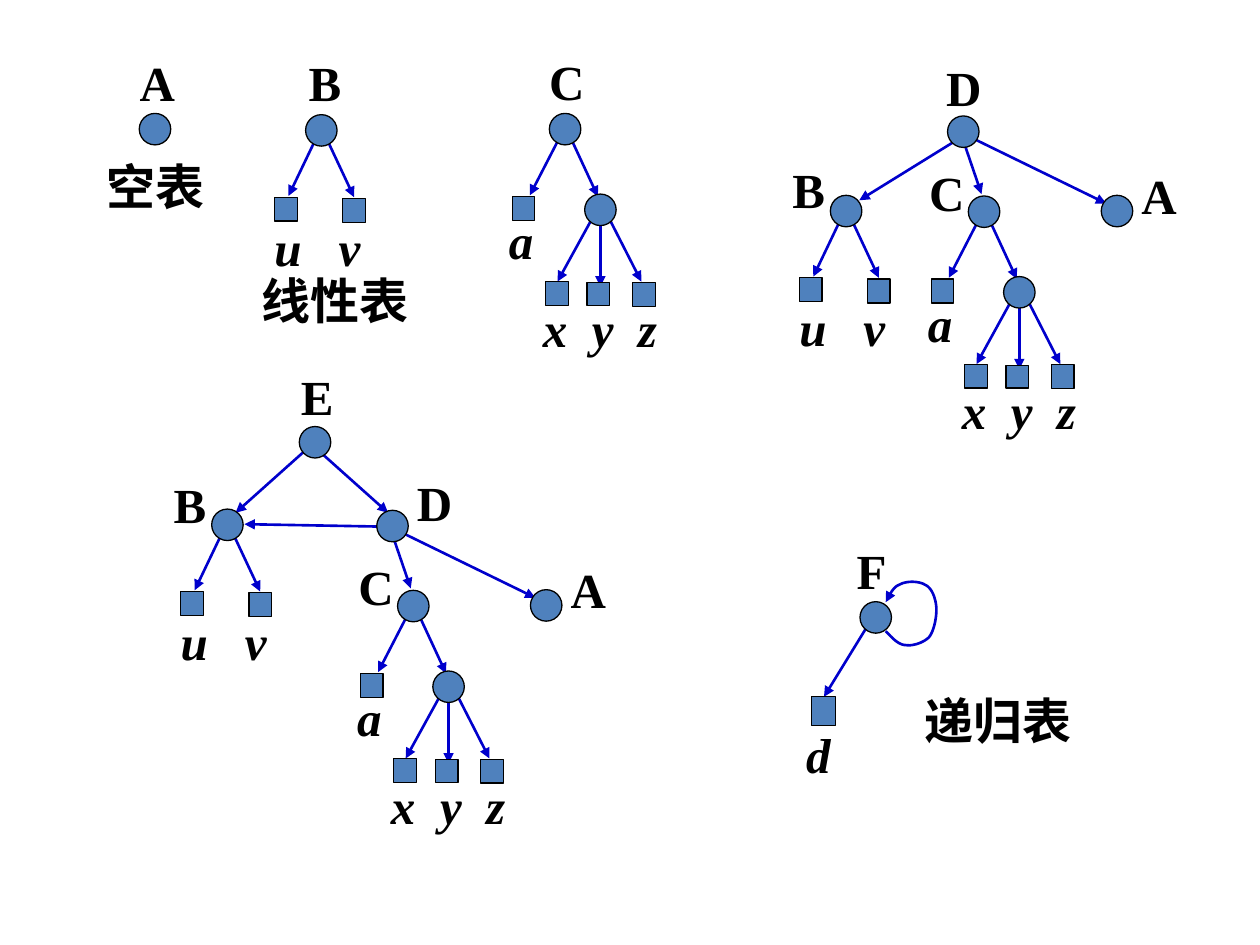
import pptx
import pptx.util
import pptx.dml.color
import pptx.enum.shapes
import pptx.oxml
import pptx.oxml.ns

RGBColor = pptx.dml.color.RGBColor
SHAPE = pptx.enum.shapes.MSO_SHAPE
BLUE = RGBColor(0x4F, 0x81, 0xBD)
ARROW = RGBColor(0x00, 0x00, 0xCC)
BLACK = RGBColor(0, 0, 0)

# Grid: 100 columns by 75 rows of square cells
COLS, ROWS = 100, 75
CELL = 0.1
NODE = 2.5
ATOM_W, ATOM_H = 1.8, 1.9
LABEL_H = 5.7


def cells(n):
    return pptx.util.Inches(n * CELL)


def xml(tag, **attrs):
    el = pptx.oxml.parse_xml(f"<a:{tag} {pptx.oxml.ns.nsdecls('a')}/>")
    for key, value in attrs.items():
        el.set(key, str(value))
    return el


def add_text(s, text, x, y, w=4.8, italic=False, size=28, tabs=()):
    tf = s.shapes.add_textbox(cells(x), cells(y), cells(w), cells(LABEL_H)).text_frame
    tf.word_wrap = True
    tf.margin_right = 0
    p = tf.paragraphs[0]
    if tabs:
        stops = xml("tabLst")
        for stop in tabs:
            stops.append(xml("tab", pos=cells(stop), algn="l"))
        p._p.get_or_add_pPr().append(stops)
    r = p.add_run()
    r.text = text
    r.font.name = "Times New Roman"
    r.font.size = pptx.util.Pt(size)
    r.font.bold = True
    r.font.italic = italic
    r.font.color.rgb = BLACK


def add_filled(s, kind, x, y, w, h):
    sp = s.shapes.add_shape(kind, cells(x), cells(y), cells(w), cells(h))
    sp.shadow.inherit = False
    sp.fill.solid()
    sp.fill.fore_color.rgb = BLUE
    sp.line.color.rgb = BLACK
    sp.line.width = pptx.util.Pt(0.75)


def add_node(s, x, y, name="", dx=0, dy=0):
    """List node centred on x, y, with its name box offset by dx, dy."""
    add_filled(s, SHAPE.OVAL, x - NODE / 2, y - NODE / 2, NODE, NODE)
    if name:
        add_text(s, name, x + dx, y + dy)


def add_atom(s, x, y, w=ATOM_W, h=ATOM_H):
    add_filled(s, SHAPE.RECTANGLE, x, y, w, h)


def style_arrow(sp):
    sp.line.color.rgb = ARROW
    sp.line.width = pptx.util.Pt(1.5)
    sp.line._get_or_add_ln().append(xml("tailEnd", type="triangle"))


def add_arrow(s, x, y, x1, y1, x2, y2):
    """Arrow between two offsets from the node at x, y."""
    sp = s.shapes.add_connector(pptx.enum.shapes.MSO_CONNECTOR.STRAIGHT,
                                cells(x + x1), cells(y + y1), cells(x + x2), cells(y + y2))
    style_arrow(sp)
    sp._element.spPr.append(xml("effectLst"))


def add_loop(s, start, curves, steps=12):
    """Open curved arrow through cubic segments of (control, control, end)."""
    points = []
    p0 = start
    for p1, p2, p3 in curves:
        for i in range(1, steps + 1):
            t = i / steps
            u = 1 - t
            points.append(tuple(
                cells(u**3 * a + 3 * u * u * t * b + 3 * u * t * t * c + t**3 * d)
                for a, b, c, d in zip(p0, p1, p2, p3)))
        p0 = p3
    fb = s.shapes.build_freeform(cells(start[0]), cells(start[1]))
    fb.add_line_segments(points, close=False)
    sp = fb.convert_to_shape()
    sp.shadow.inherit = False
    sp.fill.background()
    style_arrow(sp)


def tree_b(s, x, y, dx, dy):
    """B = (u, v)"""
    add_arrow(s, x, y, 0.4, 0.6, 2.6, 5.3)
    add_arrow(s, x, y, -0.4, 0.6, -2.6, 5.2)
    add_node(s, x, y, "B", dx, dy)
    add_atom(s, x - 3.7, y + 5.3)
    add_atom(s, x + 1.7, y + 5.4)
    add_text(s, "u\tv", x - 4.7, y + 6.4, w=8.8, italic=True, tabs=[5.1])


def tree_c(s, x, y, dx, dy):
    """C = (a, (x, y, z))"""
    add_arrow(s, x, y, 0.4, 0.6, 2.6, 5.35)
    add_arrow(s, x, y, -0.4, 0.6, -2.8, 5.25)
    add_node(s, x, y, "C", dx, dy)
    add_atom(s, x - 4.2, y + 5.35)
    add_text(s, "a", x - 5.45, y + 6, italic=True)
    # Inner list
    x, y = x + 2.8, y + 6.4
    for x1, y1, x2, y2 in [(0, 0, 0, 6.1), (0.65, 0.6, 3.25, 5.7), (-0.6, 0.6, -3.4, 5.7)]:
        add_arrow(s, x, y, x1, y1, x2, y2)
    add_node(s, x, y)
    add_atom(s, x - 4.35, y + 5.7)
    add_atom(s, x - 1.05, y + 5.8, h=1.8)
    add_atom(s, x + 2.55, y + 5.75)
    add_text(s, "x\ty\tz", x - 5.55, y + 6.55, w=11, italic=True, tabs=[3.9, 7.55])


def tree_d(s, x, y, dx, dy):
    """D = (B, C, A), with B drawn by the caller"""
    add_arrow(s, x, y, 0.8, 0.55, 11.35, 5.7)
    add_arrow(s, x, y, 0.05, 0.85, 1.45, 4.95)
    add_node(s, x, y, "D", dx, dy)
    tree_c(s, x + 1.65, y + 6.35, -5.35, -4.4)
    add_node(s, x + 12.2, y + 6.3, "A", 0.95, -4.1)


def main():
    prs = pptx.Presentation()
    prs.slide_width, prs.slide_height = cells(COLS), cells(ROWS)
    s = prs.slides.add_slide(prs.slide_layouts[6])

    # Empty list and linear lists
    add_node(s, 12.3, 10.25, "A", -2.2, -6.55)
    tree_b(s, 25.5, 10.35, -2, -6.65)
    tree_c(s, 44.85, 10.25, -2.25, -6.65)

    # D with its sublists
    add_arrow(s, 76.45, 10.45, -0.65, 0.75, -8.25, 5.45)
    tree_b(s, 67.15, 16.75, -5.25, -4.55)
    tree_d(s, 76.45, 10.45, -2.35, -6.35)

    # E shares B with D
    add_arrow(s, 25, 35.1, 0.1, 0.5, 5.8, 5.6)
    add_arrow(s, 25, 35.1, -0.6, 0.5, -6.3, 5.6)
    add_arrow(s, 31.15, 41.75, -0.55, 0.05, -11.75, -0.15)
    tree_b(s, 18.05, 41.65, -5.25, -4.45)
    tree_d(s, 31.15, 41.75, 0.95, -4.75)
    add_node(s, 25, 35.1, "E", -2.1, -6.5)

    # F contains itself
    add_arrow(s, 69.5, 49, -0.6, 0.6, -4.1, 6.3)
    add_node(s, 69.5, 49, "F", -2.5, -6.6)
    add_atom(s, 64.4, 55.3, w=1.9, h=2.3)
    add_text(s, "d", 63, 57, italic=True)
    add_loop(s, (70.3, 50.1), [
        ((70.8, 50.6), (71.3, 51.2), (71.9, 51.2)),
        ((72.4, 51.3), (73.4, 51), (73.8, 50.5)),
        ((74.2, 49.9), (74.4, 48.7), (74.3, 48)),
        ((74.2, 47.3), (73.9, 46.6), (73.4, 46.4)),
        ((72.9, 46.1), (71.9, 46.1), (71.4, 46.4)),
        ((70.8, 46.6), (70.5, 47.5), (70.3, 47.8)),
    ])

    # Captions
    for text, x, y in [("空表", 7.5, 11.9), ("线性表", 19.8, 21), ("递归表", 72.4, 54.3)]:
        add_text(s, text, x, y, w=13.6)

    prs.save("out.pptx")


if __name__ == "__main__":
    main()
